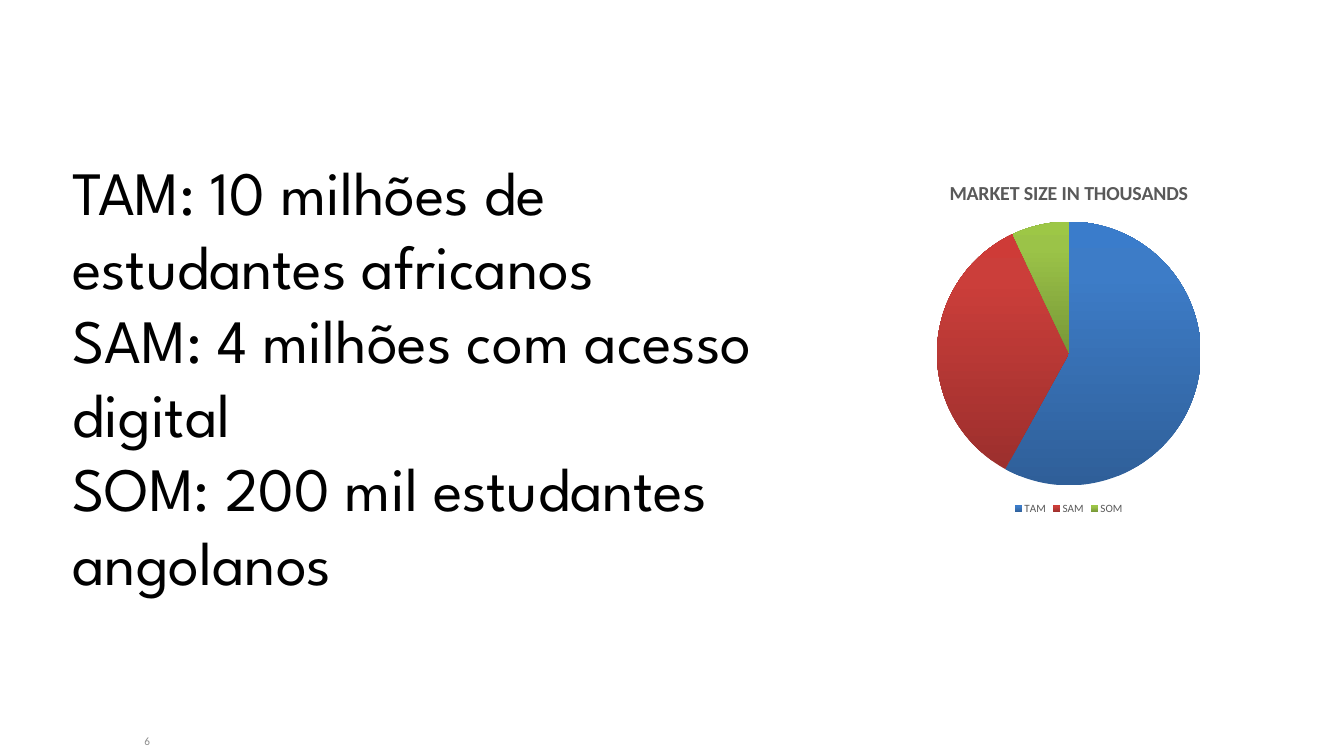
"""Build the market size slide: three claims beside a pie chart."""
import copy
import pptx
import pptx.util
import pptx.chart.data
import pptx.dml.color
import pptx.enum.chart
import pptx.enum.text

Cm, Pt = pptx.util.Cm, pptx.util.Pt

CLAIMS = [
    "TAM: 10 milhões de estudantes africanos",
    "SAM: 4 milhões com acesso digital",
    "SOM: 200 mil estudantes angolanos",
]
TITLE = "MARKET SIZE IN THOUSANDS"
SLICES = [
    ("TAM", 58, ("2F5F99", "3D7CC7", "3A7CCB")),
    ("SAM", 35, ("9C2F2D", "CB3E3A", "CE3B37")),
    ("SOM", 7, ("779737", "9BC348", "9DC746")),
]
STOPS = (0, 0.8, 1)
PAGE = "6"


def color(code):
    return pptx.dml.color.RGBColor.from_string(code)


def style(font, name, size, code, bold=False):
    font.name, font.size, font.bold = name, Pt(size), bold
    font.color.rgb = color(code)


def add_text(slide, box, lines, name, size, code):
    frame = slide.shapes.add_textbox(*map(Cm, box)).text_frame
    frame.word_wrap = True
    frame.text = "\n".join(lines)
    for par in frame.paragraphs:
        style(par.runs[0].font, name, size, code)
    return frame


def shade(fill, tones, stops):
    fill.gradient()
    fill.gradient_angle = 90
    for stop, tone, place in zip(stops(), tones, STOPS):
        stop.color.rgb = color(tone)
        stop.position = place


def add_pie(slide, box):
    data = pptx.chart.data.CategoryChartData()
    data.categories = [name for name, _, _ in SLICES]
    data.add_series(TITLE, [value for _, value, _ in SLICES])
    kind = pptx.enum.chart.XL_CHART_TYPE.PIE
    chart = slide.shapes.add_chart(kind, *map(Cm, box), data).chart
    style(chart.font, "Calibri", 10, "000000")

    chart.has_title = True
    frame = chart.chart_title.text_frame
    frame.text = TITLE
    style(frame.paragraphs[0].runs[0].font, "Calibri", 21.3, "595959", True)
    chart.chart_title.include_in_layout = False

    chart.has_legend = True
    chart.legend.position = pptx.enum.chart.XL_LEGEND_POSITION.BOTTOM
    chart.legend.include_in_layout = False
    style(chart.legend.font, "Calibri", 11.9, "595959")

    plot = chart.plots[0]
    plot.vary_by_categories = True
    series = plot.series[0]
    for i, (_, _, tones) in enumerate(SLICES):
        fill = series.points[i].format.fill
        fill.gradient()
        group = series._element.xpath("c:dPt/c:spPr/a:gradFill/a:gsLst")[i]
        group.append(copy.deepcopy(group[-1]))
        fill.gradient_angle = 90
        for stop, tone, place in zip(fill.gradient_stops, tones, STOPS):
            stop.color.rgb = color(tone)
            stop.position = place


def main():
    deck = pptx.Presentation()
    deck.slide_width, deck.slide_height = Cm(50.8), Cm(28.58)
    slide = deck.slides.add_slide(deck.slide_layouts[6])

    body = add_text(slide, (2.74, 5.82, 27.74, 16.92), CLAIMS,
                    "League Spartan", 66, "000000")
    body.margin_left = body.margin_right = 0
    body.margin_top = body.margin_bottom = 0
    body.auto_size = pptx.enum.text.MSO_AUTO_SIZE.SHAPE_TO_FIT_TEXT

    add_pie(slide, (31.09, 6.25, 18.62, 13.34))

    foot = add_text(slide, (0, 27.51, 5.92, 1.02), [PAGE],
                    "Calibri", 12, "8C8C8C")
    foot.vertical_anchor = pptx.enum.text.MSO_ANCHOR.MIDDLE
    foot.paragraphs[0].alignment = pptx.enum.text.PP_ALIGN.RIGHT

    deck.save("out.pptx")


if __name__ == "__main__":
    main()
